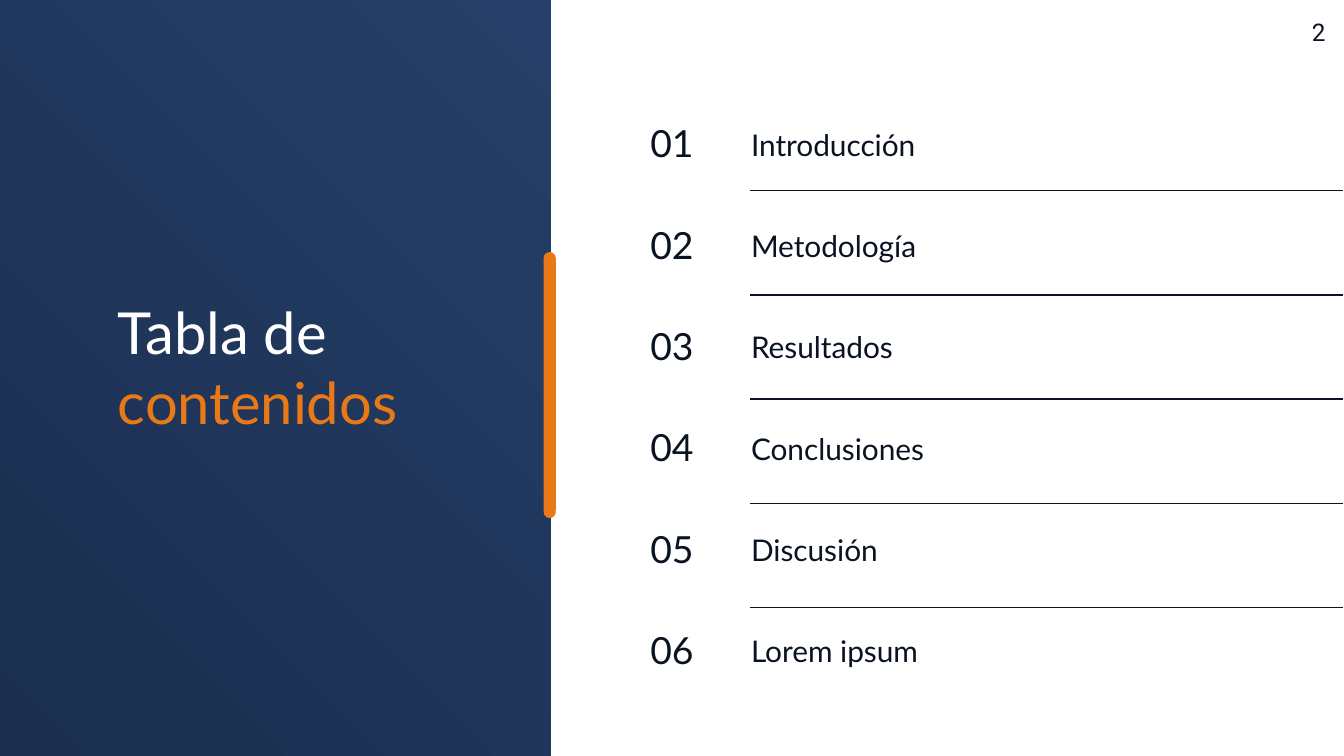
from pptx import Presentation
from pptx.dml.color import RGBColor
from pptx.enum.shapes import MSO_CONNECTOR, MSO_SHAPE
from pptx.enum.text import MSO_ANCHOR as ANCHOR, PP_ALIGN as ALIGN
from pptx.oxml.ns import qn
from pptx.util import Inches, Pt

COLORS = {
    "panel_light": "253F68",
    "panel_dark": "1A2D4E",
    "accent": "E97917",
    "ink": "0A1322",
    "white": "FFFFFF",
}
FRAME_FORMAT = {
    "word_wrap": True,
    "margin_left": Inches(0.1),
    "margin_right": Inches(0.1),
    "margin_top": Inches(0.1),
    "margin_bottom": Inches(0.1),
}
TOPICS = ["Introducción", "Metodología", "Resultados", "Conclusiones", "Discusión", "Lorem ipsum"]
FIRST_ROW, LAST_ROW = 0.84, 4.61
FIRST_RULE, LAST_RULE = 1.42, 4.52
ROW_STEP = (LAST_ROW - FIRST_ROW) / (len(TOPICS) - 1)
RULE_STEP = (LAST_RULE - FIRST_RULE) / (len(TOPICS) - 2)


def color(name):
    return RGBColor.from_string(COLORS[name])


def add_text(box, runs, size, font="Lato", align=ALIGN.LEFT, anchor=ANCHOR.TOP):
    frame = slide.shapes.add_textbox(*map(Inches, box)).text_frame
    for attribute, value in {**FRAME_FORMAT, "vertical_anchor": anchor}.items():
        setattr(frame, attribute, value)
    paragraph = frame.paragraphs[0]
    paragraph.alignment = align
    for words, tint in runs:
        run = paragraph.add_run()
        run.text = words
        for attribute, value in {"name": font, "size": Pt(size)}.items():
            setattr(run.font, attribute, value)
        run.font.color.rgb = color(tint)


deck = Presentation()
deck.slide_width = Inches(10)
deck.slide_height = Inches(10 * 9 / 16)
slide = deck.slides.add_slide(deck.slide_layouts[6])

panel = slide.shapes.add_shape(
    MSO_SHAPE.RECTANGLE, Inches(-0.09), Inches(-0.03), Inches(4.19), Inches(5.72))
panel.shadow.inherit = False
panel.line.fill.background()
panel.fill.gradient()
panel.fill.gradient_angle = 225
for stop, tint in zip(panel.fill.gradient_stops, ["panel_light", "panel_dark"]):
    stop.color.rgb = color(tint)

accent_bar = slide.shapes.add_shape(
    MSO_SHAPE.ROUNDED_RECTANGLE, Inches(3.1), Inches(2.82), Inches(1.98), Inches(0.09))
accent_bar.rotation = 90
accent_bar.adjustments[0] = 0.5
accent_bar.shadow.inherit = False
accent_bar.line.fill.background()
accent_bar.fill.solid()
accent_bar.fill.fore_color.rgb = color("accent")

add_text((0.78, 2.11, 2.44, 1.41), [("Tabla de ", "white"), ("contenidos", "accent")], 31)

for index, topic in enumerate(TOPICS):
    top = FIRST_ROW + index * ROW_STEP
    add_text((4.6, top, 0.8, 0.49), [(f"{index + 1:02}", "ink")], 20,
             align=ALIGN.CENTER, anchor=ANCHOR.BOTTOM)
    add_text((5.49, top, 3.93, 0.65), [(topic, "ink")], 16)

add_text((9.36, 0.03, 0.6, 0.43), [("2", "ink")], 13, font="Roboto", align=ALIGN.RIGHT)

for index in range(len(TOPICS) - 1):
    height = Inches(FIRST_RULE + index * RULE_STEP)
    rule = slide.shapes.add_connector(
        MSO_CONNECTOR.STRAIGHT, Inches(5.58), height, Inches(9.99), height)
    rule.line.width = Pt(0.75)
    rule.line.color.rgb = color("ink")
    properties = rule.element.spPr
    properties.append(properties.makeelement(qn("a:effectLst"), {}))

deck.save("out.pptx")
